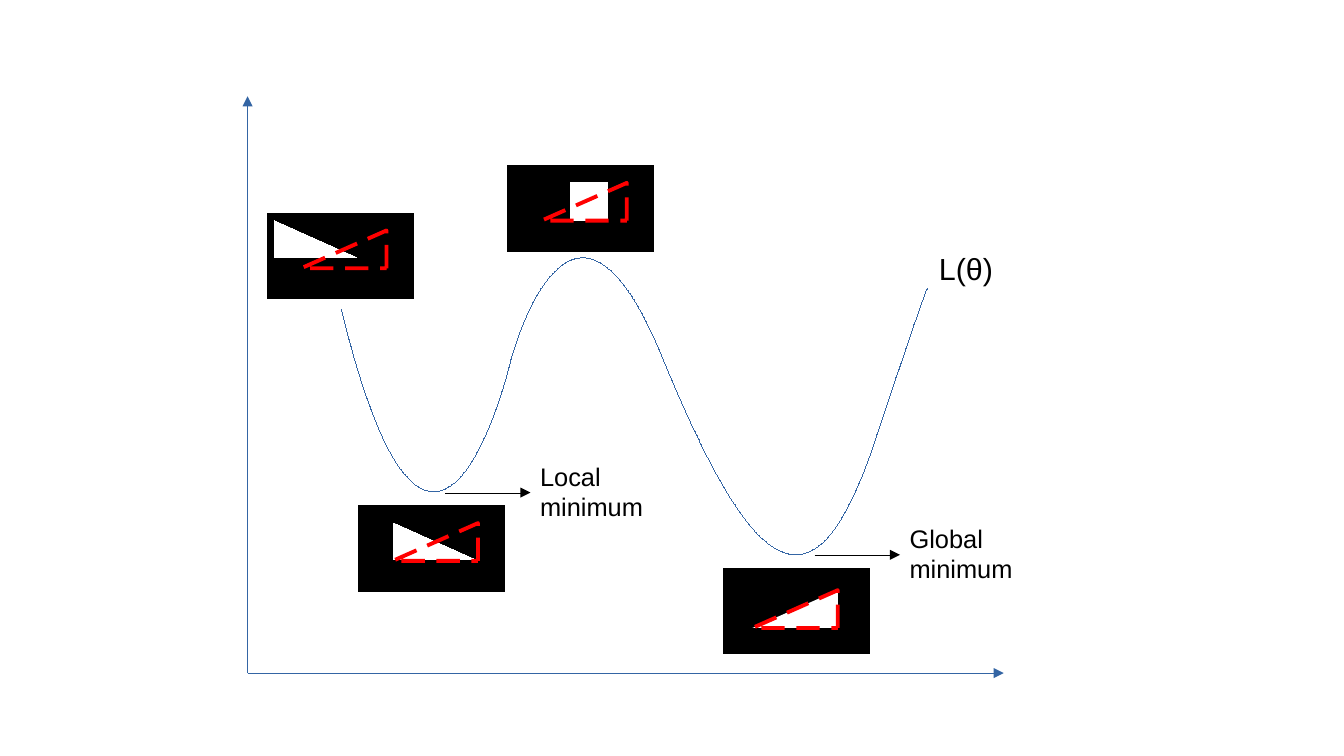
from dataclasses import dataclass

from lxml.etree import SubElement
from pptx import Presentation
from pptx.dml.color import RGBColor
from pptx.enum.shapes import MSO_CONNECTOR, MSO_SHAPE
from pptx.enum.text import MSO_ANCHOR, MSO_AUTO_SIZE
from pptx.oxml.ns import qn
from pptx.util import Inches, Pt


@dataclass(frozen=True)
class Theme:
    ink: RGBColor = RGBColor(0x00, 0x00, 0x00)
    paper: RGBColor = RGBColor(0xFF, 0xFF, 0xFF)
    curve: RGBColor = RGBColor(0x34, 0x65, 0xA4)
    target: RGBColor = RGBColor(0xFF, 0x00, 0x00)
    font: str = "Arial"
    function_size: Pt = Pt(18)
    label_size: Pt = Pt(15)
    target_line: Pt = Pt(2.3)


THEME = Theme()

# Loss curve: bounds, a start point, then cubic segments (control, control, end)
CURVE_TOP_LEFT = (2.8, 2.11)
CURVE_BOTTOM_RIGHT = (7.6, 4.55)
CURVE_START = (2.8, 2.54)
CURVE_SEGMENTS = [
    ((3.56, 5.64), (4.19, 2.95), (4.19, 2.95)),
    ((4.19, 2.95), (4.68, 1.07), (5.44, 2.95)),
    ((6.21, 4.82), (6.69, 5.07), (7.18, 3.6)),
    ((7.67, 2.13), (7.6, 2.38), (7.6, 2.38)),
]

ORIGIN = (2.03, 5.52)
AXIS_ENDS = [(8.23, 5.52), (2.03, 0.79)]
FRAME_SIZE = (1.2, 0.7)
TARGET_SIZE = (0.7, 0.31)
TARGET_OFFSET = (0.28, 0.14)
TRIANGLE = (MSO_SHAPE.RIGHT_TRIANGLE, (0.67, 0.3))
SQUARE = (MSO_SHAPE.RECTANGLE, (0.3, 0.31))

# Frame corner, guessed outline, and the guess's offset in the frame
GUESSES = [
    ((2.19, 1.75), TRIANGLE, (0.06, 0.06)),
    ((2.94, 4.15), TRIANGLE, (0.29, 0.14)),
    ((4.16, 1.36), SQUARE, (0.52, 0.14)),
]
GLOBAL_FRAME = (5.93, 4.66)
GLOBAL_OFFSET = (0.24, 0.18)

# Label text, label corner, arrow start
MINIMA = [
    ("Global minimum", (7.36, 4.24), (6.68, 4.55)),
    ("Local minimum", (4.33, 3.73), (3.65, 4.04)),
]
ARROW_LENGTH = 0.7


def set_all(item, values):
    for name, value in values.items():
        setattr(item, name, value)


def shifted(corner, offset):
    return corner[0] + offset[0], corner[1] + offset[1]


def set_hairline(line, color):
    line.color.rgb = color
    # A zero width has to be written out, or the style's width applies
    line._get_or_add_ln().set("w", "0")


def add_arrow(shapes, start, end, color):
    ends = [Inches(value) for value in (*start, *end)]
    arrow = shapes.add_connector(MSO_CONNECTOR.STRAIGHT, *ends)
    set_hairline(arrow.line, color)
    SubElement(arrow.line._get_or_add_ln(), qn("a:tailEnd"), type="triangle")
    SubElement(arrow._element.spPr, qn("a:effectLst"))


def add_figure(shapes, kind, corner, size, fill):
    figure = shapes.add_shape(kind, *[Inches(value) for value in (*corner, *size)])
    figure.shadow.inherit = False
    if fill is None:
        figure.fill.background()
    else:
        figure.fill.solid()
        figure.fill.fore_color.rgb = fill
        set_hairline(figure.line, fill)
    return figure


def add_frame(shapes, corner):
    add_figure(shapes, MSO_SHAPE.RECTANGLE, corner, FRAME_SIZE, THEME.ink)


def add_target(shapes, corner, fill=None):
    target = add_figure(shapes, MSO_SHAPE.RIGHT_TRIANGLE, corner, TARGET_SIZE, fill)
    target._element.spPr.get_or_add_xfrm().set("flipH", "1")
    target.line.color.rgb = THEME.target
    target.line.width = THEME.target_line
    # Dashes six line widths long with gaps of three
    dashes = SubElement(target.line._get_or_add_ln(), qn("a:custDash"))
    SubElement(dashes, qn("a:ds"), d="600000", sp="300000")


def add_label(shapes, text, corner, height, size):
    box = [Inches(value) for value in (*corner, FRAME_SIZE[0], height)]
    frame = shapes.add_textbox(*box).text_frame
    set_all(frame, {
        "word_wrap": True,
        "auto_size": MSO_AUTO_SIZE.SHAPE_TO_FIT_TEXT,
        "vertical_anchor": MSO_ANCHOR.TOP,
        "margin_left": Inches(0.1),
        "margin_right": Inches(0.1),
        "margin_top": Inches(0.05),
        "margin_bottom": Inches(0.05),
    })
    run = frame.paragraphs[0].add_run()
    run.text = text
    set_all(run.font, {"name": THEME.font, "size": size})
    run.font.color.rgb = THEME.ink


def add_path_step(outline, tag, points):
    step = SubElement(outline, qn(tag))
    left, top = CURVE_TOP_LEFT
    for x, y in points:
        SubElement(step, qn("a:pt"), x=str(Inches(x - left)), y=str(Inches(y - top)))


def add_loss_curve(shapes):
    # The diagonal of the bounds fixes the frame; the cubics then replace it
    builder = shapes.build_freeform(*[Inches(value) for value in CURVE_TOP_LEFT])
    corner = tuple(Inches(value) for value in CURVE_BOTTOM_RIGHT)
    builder.add_line_segments([corner], close=False)
    curve = builder.convert_to_shape()
    outline = curve._element.spPr.find(".//" + qn("a:path"))
    for step in list(outline):
        outline.remove(step)
    add_path_step(outline, "a:moveTo", [CURVE_START])
    for segment in CURVE_SEGMENTS:
        add_path_step(outline, "a:cubicBezTo", segment)
    curve.shadow.inherit = False
    curve.fill.background()
    set_hairline(curve.line, THEME.curve)


def main():
    presentation = Presentation()
    presentation.slide_width = Inches(11.02)
    presentation.slide_height = Inches(6.2)
    shapes = presentation.slides.add_slide(presentation.slide_layouts[6]).shapes

    # Axes and loss curve
    axes = shapes.add_group_shape()
    for axis_end in AXIS_ENDS:
        add_arrow(axes.shapes, ORIGIN, axis_end, THEME.curve)
    add_loss_curve(shapes)

    # Guessed shapes against the dashed target
    for corner, (kind, size), offset in GUESSES:
        add_frame(shapes, corner)
        add_figure(shapes, kind, shifted(corner, offset), size, THEME.paper)
        add_target(shapes, shifted(corner, TARGET_OFFSET))

    # Perfect match at the global minimum
    add_frame(shapes, GLOBAL_FRAME)
    add_target(shapes, shifted(GLOBAL_FRAME, GLOBAL_OFFSET), THEME.paper)

    # Labels
    add_label(shapes, "L(θ)", (7.6, 2), 0.38, THEME.function_size)
    for text, corner, arrow_start in MINIMA:
        add_label(shapes, text, corner, 0.56, THEME.label_size)
        arrow_end = shifted(arrow_start, (ARROW_LENGTH, 0))
        add_arrow(shapes, arrow_start, arrow_end, THEME.ink)

    presentation.save("out.pptx")


if __name__ == "__main__":
    main()
